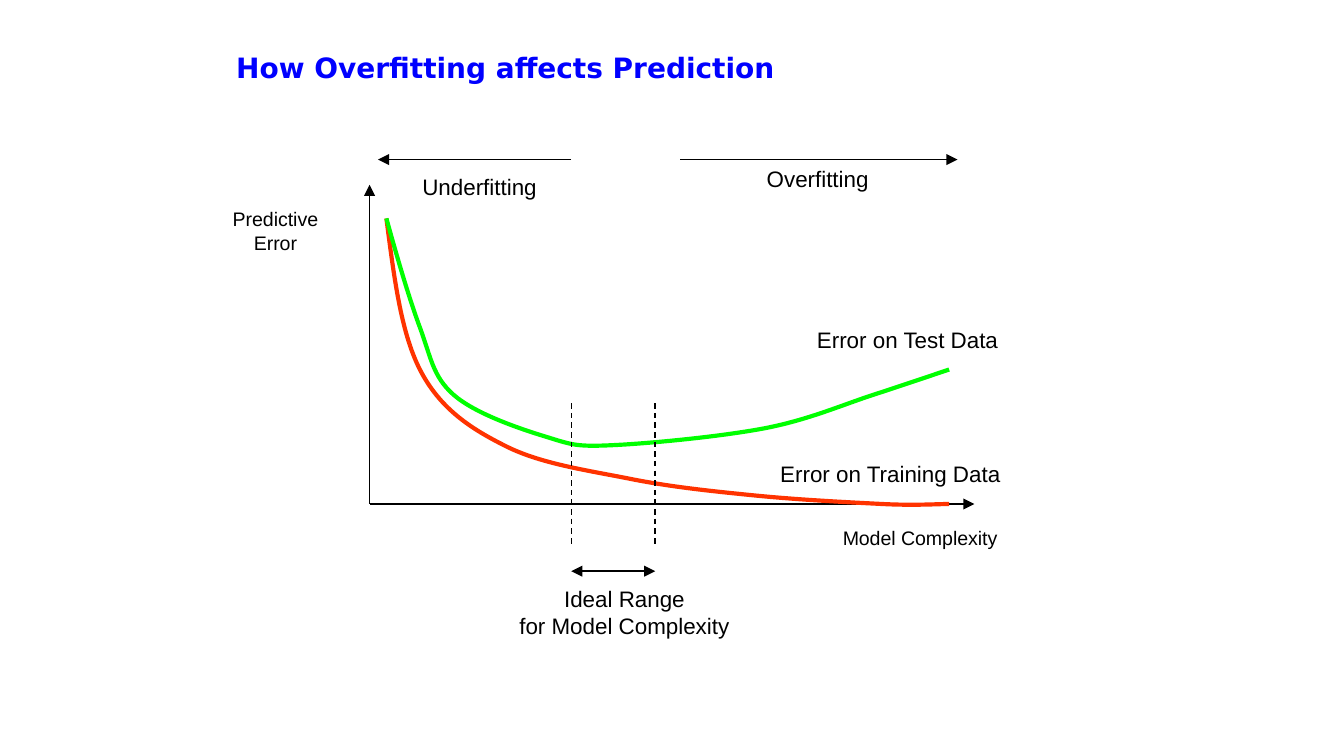
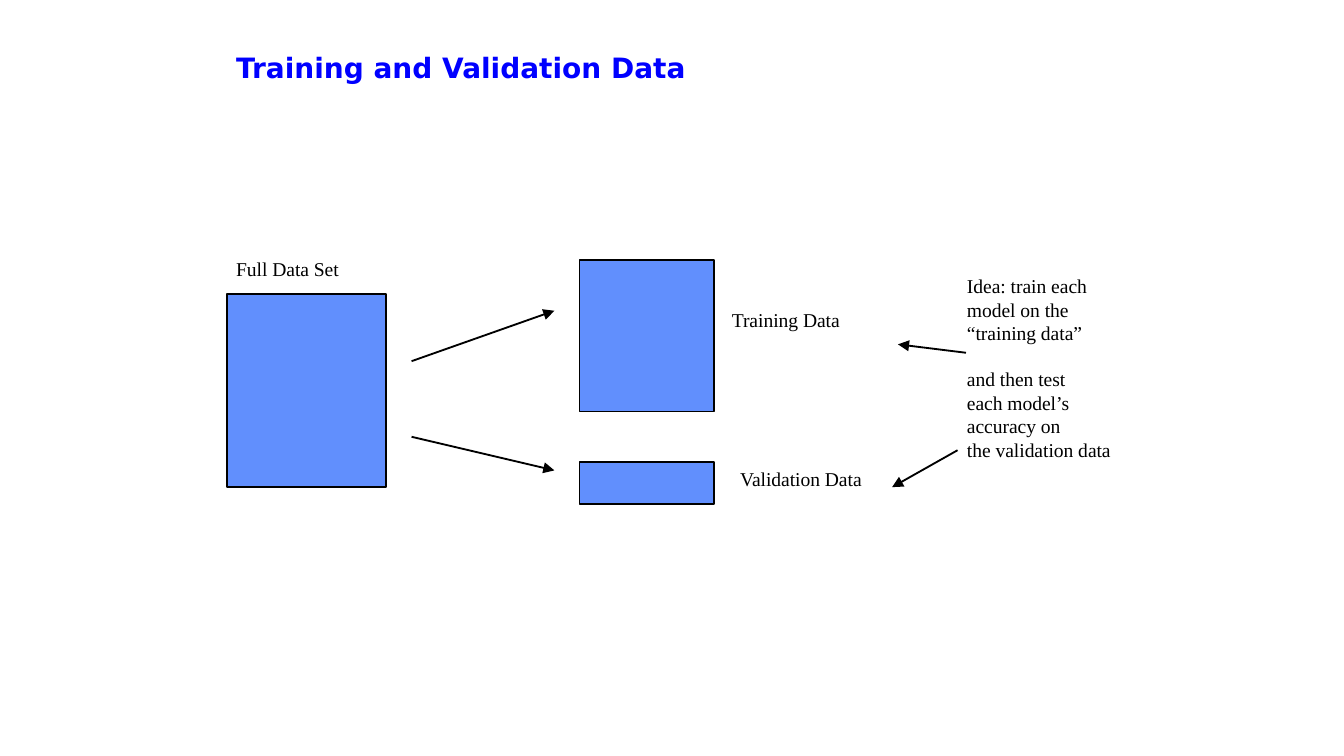
from dataclasses import dataclass

from pptx import Presentation
from pptx.dml.color import RGBColor as Color
from pptx.enum.dml import MSO_LINE_DASH_STYLE as Dash
from pptx.enum.shapes import MSO_CONNECTOR as Connector, MSO_SHAPE as Preset
from pptx.enum.text import MSO_ANCHOR as Anchor, MSO_AUTO_SIZE as AutoSize, PP_ALIGN as Align
from pptx.oxml.ns import qn
from pptx.oxml.xmlchemy import OxmlElement
from pptx.util import Inches, Pt

COLUMNS, ROWS = 160, 90
CELL = Inches(10) // COLUMNS


@dataclass(frozen=True)
class Theme:
    ink: Color = Color(0, 0, 0)
    title: Color = Color(0, 0, 255)
    block: Color = Color(0x61, 0x8F, 0xFD)
    training: Color = Color(0xFF, 0x33, 0)
    test: Color = Color(0, 255, 0)
    title_font: str = "DejaVu Sans"
    chart_font: str = "Arial"
    diagram_font: str = "Times New Roman"
    title_size: float = 15
    label_size: float = 12
    small_size: float = 10.5
    thin: float = 0.75
    medium: float = 1
    thick: float = 2.25


THEME = Theme()


def grid(*cells):
    """Turn grid columns and rows into lengths."""
    return [round(cell * CELL) for cell in cells]


def apply(target, values):
    for name, value in values.items():
        setattr(target, name, value)


def style_line(shape, color, width):
    shape.line.color.rgb = color
    shape.line.width = Pt(width)


# Kinds of element
def add_text(slide, area, lines, font, size, color=THEME.ink, bold=None,
             align=Align.LEFT, gaps=None, **frame_values):
    frame = slide.shapes.add_textbox(*grid(*area)).text_frame
    side, edge = Inches(0.07), Inches(0.04)
    apply(frame, {"margin_left": side, "margin_right": side,
                  "margin_top": edge, "margin_bottom": edge,
                  "word_wrap": False, "auto_size": AutoSize.SHAPE_TO_FIT_TEXT,
                  **frame_values})
    for index, line in enumerate(lines):
        paragraph = frame.paragraphs[0] if index == 0 else frame.add_paragraph()
        paragraph.alignment = align
        if gaps and index in gaps:
            paragraph.space_before = Pt(gaps[index])
        run = paragraph.add_run()
        run.text = line
        apply(run.font, {"name": font, "size": Pt(size), "bold": bold})
        run.font.color.rgb = color


def add_title(slide, title):
    add_text(slide, (27, 4, 102, 8), [title], THEME.title_font, THEME.title_size,
             THEME.title, bold=True, word_wrap=True, auto_size=AutoSize.NONE,
             vertical_anchor=Anchor.MIDDLE)


def add_line(slide, ends, width, arrows=(), dash=None):
    connector = slide.shapes.add_connector(Connector.STRAIGHT, *grid(*ends))
    style_line(connector, THEME.ink, width)
    if dash:
        connector.line.dash_style = dash
    properties = connector._element.spPr
    outline = properties.find(qn("a:ln"))
    for arrow in arrows:
        end = OxmlElement(f"a:{arrow}End")
        end.set("type", "triangle")
        outline.append(end)
    properties.append(OxmlElement("a:effectLst"))


def add_block(slide, area):
    shape = slide.shapes.add_shape(Preset.RECTANGLE, *grid(*area))
    shape.shadow.inherit = False
    shape.fill.solid()
    shape.fill.fore_color.rgb = THEME.block
    style_line(shape, THEME.ink, THEME.medium)


def add_curve(slide, points, color):
    """Draw a Bézier curve: a start, then two controls and an end per piece."""
    start, *others = [grid(*point) for point in points]
    builder = slide.shapes.build_freeform(*start)
    builder.add_line_segments(others, close=False)
    shape = builder.convert_to_shape()
    shape.shadow.inherit = False
    shape.fill.background()
    style_line(shape, color, THEME.thick)
    outline = next(shape._element.iter(qn("a:path")))
    segments = outline.findall(qn("a:lnTo"))
    for first in range(0, len(segments), 3):
        bezier = OxmlElement("a:cubicBezTo")
        for segment in segments[first:first + 3]:
            bezier.append(segment[0])
            outline.remove(segment)
        outline.append(bezier)


# Slides
def build_overfitting(slide):
    add_title(slide, "How Overfitting affects Prediction")

    # Axes
    origin = (44, 60)
    for tip in ((44, 22), (116, 60)):
        add_line(slide, origin + tip, THEME.thin, ["tail"])

    # Error curves
    add_curve(slide, [
        (46, 26), (46.9, 32.8), (47.7, 39.5), (50, 44),
        (52.3, 48.5), (55.8, 50.9), (60, 53),
        (64.2, 55.2), (70, 56), (75, 57),
        (80, 58), (85, 58.5), (90, 59),
        (95, 59.5), (101, 59.8), (105, 60),
        (108.8, 60.2), (111.7, 60), (113, 60)], THEME.training)
    add_curve(slide, [
        (46, 26), (47.3, 30.7), (48.7, 35.5), (50, 39),
        (51.3, 42.5), (51.5, 44.8), (54, 47),
        (56.5, 49.2), (61.7, 51), (65, 52),
        (68.2, 53), (68.7, 53.2), (73, 53),
        (77.3, 52.8), (85.7, 52), (91, 51),
        (96.2, 50), (100.3, 48.2), (104, 47),
        (107.7, 45.8), (111.5, 44.5), (113, 44)], THEME.test)

    # Ideal range and the zones beside it
    low, high = 68, 78
    for column in (low, high):
        add_line(slide, (column, 48, column, 65), THEME.thin, dash=Dash.DASH)
    add_line(slide, (low, 68, high, 68), THEME.thin, ["head", "tail"])
    add_line(slide, (81, 19, 114, 19), THEME.thin, ["tail"])
    add_line(slide, (low, 19, 45, 19), THEME.thin, ["tail"])

    # Labels
    for area, lines, size in (
            ((26.4, 24, 12.8, 6.9), ["Predictive", "Error"], THEME.small_size),
            ((99, 62, 21.1, 4), ["Model Complexity"], THEME.small_size),
            ((91.5, 54.2, 29, 4.5), ["Error on Training Data"], THEME.label_size),
            ((95.8, 38.2, 24.5, 4.5), ["Error on Test Data"], THEME.label_size),
            ((60.5, 69, 27.7, 7.7), ["Ideal Range", "for Model Complexity"],
             THEME.label_size),
            ((90, 19, 14.7, 4.5), ["Overfitting"], THEME.label_size),
            ((49, 20, 16.2, 4.5), ["Underfitting"], THEME.label_size)):
        add_text(slide, area, lines, THEME.chart_font, size, align=Align.CENTER)


def build_validation(slide):
    add_title(slide, "Training and Validation Data")

    # Data sets and their labels
    for block, label, name in (
            ((27, 35, 19, 23), (27, 30, 14.7, 4), "Full Data Set"),
            ((69, 31, 16, 18), (86, 36, 15.5, 4), "Training Data"),
            ((69, 55, 16, 5), (87, 55, 17.3, 4), "Validation Data")):
        add_block(slide, block)
        add_text(slide, label, [name], THEME.diagram_font, THEME.small_size)

    # Idea
    idea = ["Idea: train each", "model on the", "“training data”", "and then test",
            "each model’s", "accuracy on", "the validation data"]
    add_text(slide, (114, 32, 24, 23.8), idea, THEME.diagram_font, THEME.small_size,
             gaps={3: 12}, word_wrap=True)

    # Arrows
    for ends in ((49, 43, 66, 37), (49, 52, 66, 56),
                 (115, 42, 106.9, 41), (114, 53.6, 106.2, 58)):
        add_line(slide, ends, THEME.medium, ["tail"])


def main():
    presentation = Presentation()
    apply(presentation, {"slide_width": COLUMNS * CELL, "slide_height": ROWS * CELL})
    blank = presentation.slide_layouts[6]
    for build in (build_overfitting, build_validation):
        build(presentation.slides.add_slide(blank))
    presentation.save("out.pptx")


if __name__ == "__main__":
    main()
